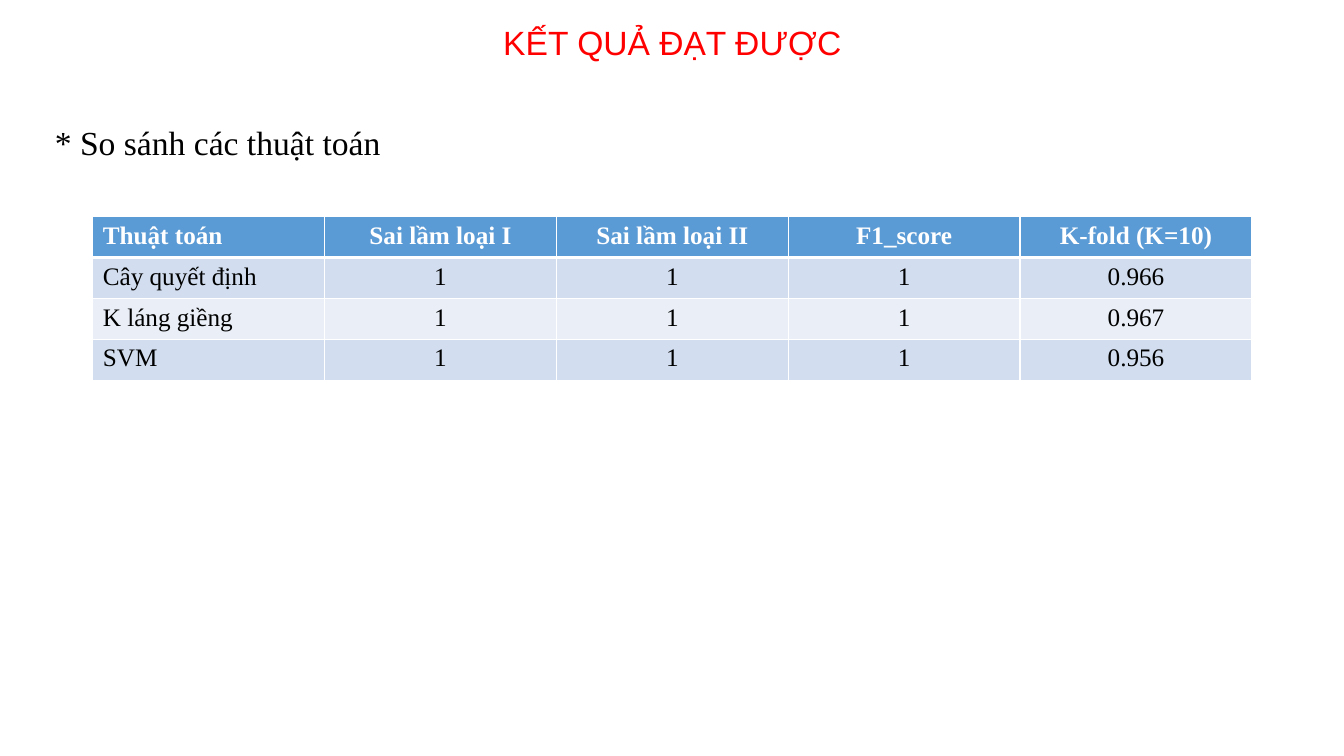
import pptx
import pptx.dml.color
import pptx.enum.text
import pptx.oxml
import pptx.oxml.ns
import pptx.util

Pt = pptx.util.Pt
RGBColor = pptx.dml.color.RGBColor
Align = pptx.enum.text.PP_ALIGN

WHITE = RGBColor(0xFF, 0xFF, 0xFF)
BLACK = RGBColor(0x00, 0x00, 0x00)
RED = RGBColor(0xFF, 0x00, 0x00)
HEADER_BLUE = RGBColor(0x5B, 0x9B, 0xD5)
BAND_DARK = RGBColor(0xD2, 0xDE, 0xEF)
BAND_LIGHT = RGBColor(0xEA, 0xEF, 0xF7)

RESULTS = [
    ["Thuật toán", "Sai lầm loại I", "Sai lầm loại II", "F1_score", "K-fold (K=10)"],
    ["Cây quyết định", "1", "1", "1", "0.966"],
    ["K láng giềng", "1", "1", "1", "0.967"],
    ["SVM", "1", "1", "1", "0.956"],
]


class ResultPage:
    heading = {"name": "Arial", "size": Pt(24), "bold": False, "color": RED}
    caption = {"name": "Times New Roman", "size": Pt(24), "bold": False, "color": BLACK}
    table_head = {"name": "Times New Roman", "size": Pt(18), "bold": True, "color": WHITE}
    table_body = {"name": "Times New Roman", "size": Pt(18), "bold": False, "color": BLACK}

    def __init__(self, deck):
        self.page = deck.slides.add_slide(deck.slide_layouts[5])

    def add_text(self, frame, text, style, align):
        para = frame.paragraphs[0]
        para.alignment = align
        span = para.add_run()
        span.text = text
        for name, value in style.items():
            if name == "color":
                span.font.color.rgb = value
            else:
                setattr(span.font, name, value)

    def fill_box(self, box, left, top, width, height, text, style):
        place = {"left": left, "top": top, "width": width, "height": height}
        for name, value in place.items():
            setattr(box, name, Pt(value))
        layout = {
            "word_wrap": True,
            "auto_size": pptx.enum.text.MSO_AUTO_SIZE.SHAPE_TO_FIT_TEXT,
            "vertical_anchor": pptx.enum.text.MSO_ANCHOR.TOP,
        }
        for name, value in layout.items():
            setattr(box.text_frame, name, value)
        self.add_text(box.text_frame, text, style, Align.CENTER)

    def add_title(self, left, top, width, height, text):
        self.fill_box(self.page.shapes.title, left, top, width, height, text, self.heading)

    def add_caption(self, left, top, width, height, text):
        box = self.page.shapes.add_textbox(0, 0, Pt(width), Pt(height))
        self.fill_box(box, left, top, width, height, text, self.caption)

    def add_borders(self, cell, widths):
        properties = cell._tc.get_or_add_tcPr()
        for side, width in widths.items():
            properties.append(pptx.oxml.parse_xml(
                f'<a:ln{side} {pptx.oxml.ns.nsdecls("a")} w="{Pt(width)}">'
                f'<a:solidFill><a:srgbClr val="{WHITE}"/></a:solidFill></a:ln{side}>'
            ))

    def add_table(self, left, top, column_width, row_height, rows):
        column_count = len(rows[0])
        table = self.page.shapes.add_table(
            len(rows), column_count, Pt(left), Pt(top),
            Pt(column_width * column_count), Pt(row_height * len(rows)),
        ).table
        for r, row in enumerate(rows):
            if r == 0:
                style, fill = self.table_head, HEADER_BLUE
            else:
                style, fill = self.table_body, BAND_DARK if r % 2 else BAND_LIGHT
            borders = {"L": 1, "R": 1, "T": 3 if r == 1 else 1, "B": 3 if r == 0 else 1}
            for c, text in enumerate(row):
                cell = table.cell(r, c)
                self.add_borders(cell, borders)
                cell.fill.solid()
                cell.fill.fore_color.rgb = fill
                self.add_text(cell.text_frame, text, style, Align.CENTER if c else Align.LEFT)


def main():
    deck = pptx.Presentation()
    deck.slide_width = Pt(960)
    deck.slide_height = Pt(540)
    page = ResultPage(deck)
    page.add_table(66.25, 154.8, 165.6, 29.2, RESULTS)
    page.add_title(283, 12.25, 394.5, 36, "KẾT QUẢ ĐẠT ĐƯỢC")
    page.add_caption(-41.75, 83.5, 394.5, 36, "* So sánh các thuật toán")
    deck.save("out.pptx")


if __name__ == "__main__":
    main()
